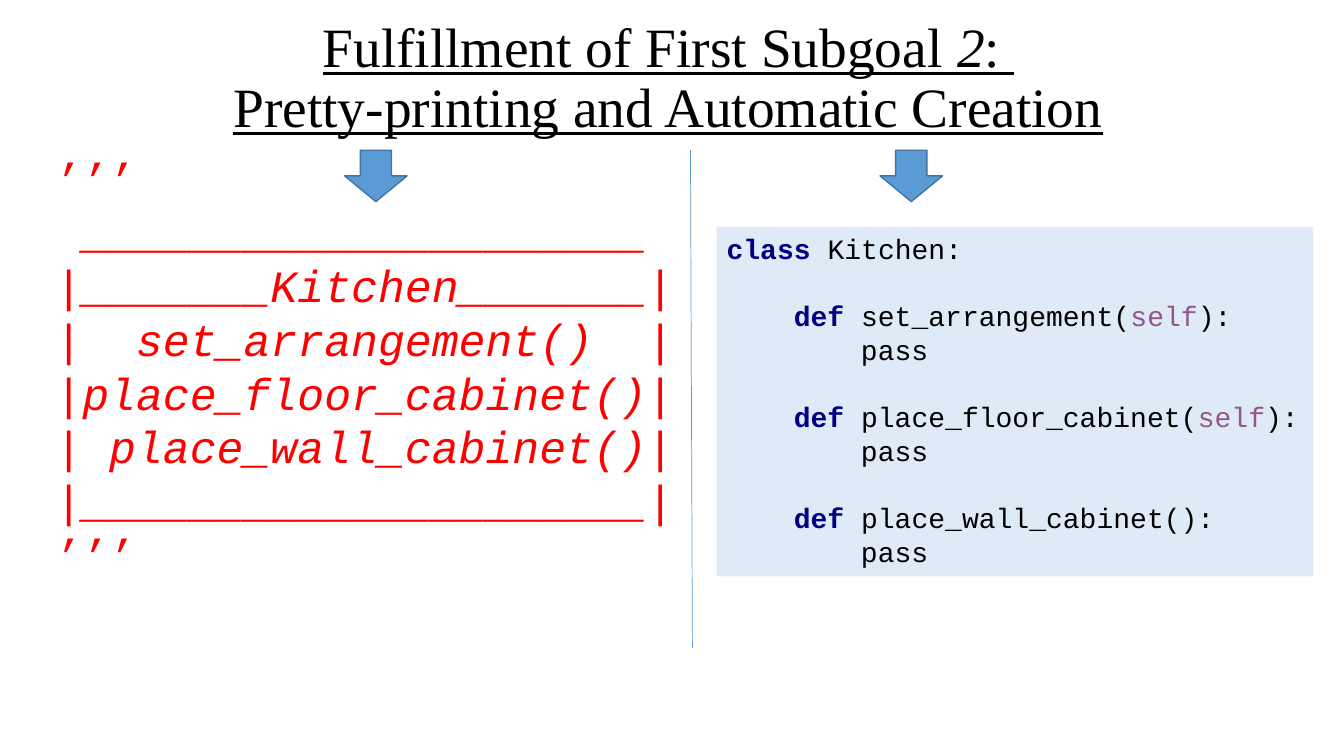
"""Build the slide pairing a pretty-printed class box with its generated code."""
from pptx import Presentation
from pptx import util as u
from pptx.dml.color import RGBColor
from pptx.enum import shapes, text
from lxml import etree

COLORS = {
    "black": "000000", "white": "FFFFFF", "red": "FF0000", "navy": "000080",
    "purple": "94558D", "blue": "5B9BD5", "outline": "43739E", "pale": "DEEBF7",
}
PLAIN, ITALIC, KEYWORD, SELF = "plain", "italic", "keyword", "self"

TITLE = [
    (0, [("Fulfillment of First Subgoal ", PLAIN), ("2", ITALIC), (": ", PLAIN)]),
    (0, [("Pretty-printing and Automatic Creation", PLAIN)]),
]
DIAGRAM = [
    (0, [("’’’", PLAIN)]),
    (0, [(" _____________________", ITALIC)]),
    (0, [("|_______Kitchen_______|", ITALIC)]),
    (0, [("|  set_arrangement()  |", ITALIC)]),
    (0, [("|place_floor_cabinet()|", ITALIC)]),
    (0, [("| place_wall_cabinet()|", ITALIC)]),
    (0, [("|_____________________|", ITALIC)]),
    (0, [("’’’", PLAIN)]),
]
CODE = [
    (0, [("class ", KEYWORD), ("Kitchen:", PLAIN)]),
    (1, [("def ", KEYWORD), ("set_arrangement(", PLAIN), ("self", SELF), ("):", PLAIN)]),
    (2, [("pass", PLAIN)]),
    (1, [("def ", KEYWORD), ("place_floor_cabinet(", PLAIN), ("self", SELF), ("):", PLAIN)]),
    (2, [("pass", PLAIN)]),
    (1, [("def ", KEYWORD), ("place_wall_cabinet():", PLAIN)]),
    (2, [("pass", PLAIN)]),
]
ARROW_LEFTS = [246.2, 628.6]
TOP = 107.3
INDENT = 48
CODE_LINE = 24


def rgb(name):
    return RGBColor.from_string(COLORS[name])


def add_block(page, kind, place, fill, line=None):
    block = page.shapes.add_shape(kind, *map(u.Pt, place))
    block.shadow.inherit = False
    block.fill.solid()
    block.fill.fore_color.rgb = rgb(fill)
    if line:
        block.line.color.rgb = rgb(line)
        block.line.width = u.Pt(1)
    else:
        block.line.fill.background()
    return block


def write(box, lines, face, size, color, align=text.PP_ALIGN.LEFT,
          anchor=text.MSO_ANCHOR.TOP, spacing=1.0, underline=False, inset=None):
    frame = box.text_frame
    frame.word_wrap = True
    frame.vertical_anchor = anchor
    if inset is not None:
        frame.margin_left = frame.margin_right = u.Pt(inset)
        frame.margin_top = frame.margin_bottom = u.Pt(inset)
    for number, (level, spans) in enumerate(lines):
        para = frame.add_paragraph() if number else frame.paragraphs[0]
        para.alignment = align
        para.line_spacing = spacing
        font = para.font
        font.name, font.size, font.underline = face, u.Pt(size), underline
        font.color.rgb = rgb(color)
        if level:
            para._p.get_or_add_pPr().set("marL", str(u.Pt(level * INDENT)))
        if level == 1:
            para.space_before = u.Pt(CODE_LINE)
        for words, look in spans:
            span = para.add_run()
            span.text = words
            if look == ITALIC:
                span.font.italic = True
            elif look == KEYWORD:
                span.font.bold = True
                span.font.color.rgb = rgb("navy")
            elif look == SELF:
                span.font.color.rgb = rgb("purple")
            else:
                span.font.color.rgb = rgb(color)


def add_divider(page):
    ends = (493.2, TOP, 494.6, 463)
    divider = page.shapes.add_connector(shapes.MSO_CONNECTOR.STRAIGHT, *map(u.Pt, ends))
    divider.line.color.rgb = rgb("blue")
    divider.line.width = u.Pt(0.5)
    properties = divider._element.spPr
    namespace = "http://schemas.openxmlformats.org/drawingml/2006/main"
    etree.SubElement(properties, f"{{{namespace}}}effectLst")


def main():
    deck = Presentation()
    deck.slide_width, deck.slide_height = u.Pt(960), u.Pt(540)
    page = deck.slides.add_slide(deck.slide_layouts[6])
    rectangle = shapes.MSO_SHAPE.RECTANGLE

    title = page.shapes.add_textbox(*map(u.Pt, (63.4, 7.2, 828, 99.4)))
    write(title, TITLE, "Times New Roman", 39.6, "black", text.PP_ALIGN.CENTER,
          text.MSO_ANCHOR.MIDDLE, 0.9, True)

    diagram = add_block(page, rectangle, (39.6, TOP, 466.6, 310.3), "white")
    write(diagram, DIAGRAM, "Courier New", 32, "red", inset=0)

    add_divider(page)
    for left in ARROW_LEFTS:
        add_block(page, shapes.MSO_SHAPE.DOWN_ARROW, (left, TOP, 44.6, 36.7), "blue", "outline")

    code = add_block(page, rectangle, (511.9, 162, 426.2, 249.8), "pale")
    write(code, CODE, "Courier New", 20, "black")
    deck.save("out.pptx")


if __name__ == "__main__":
    main()
